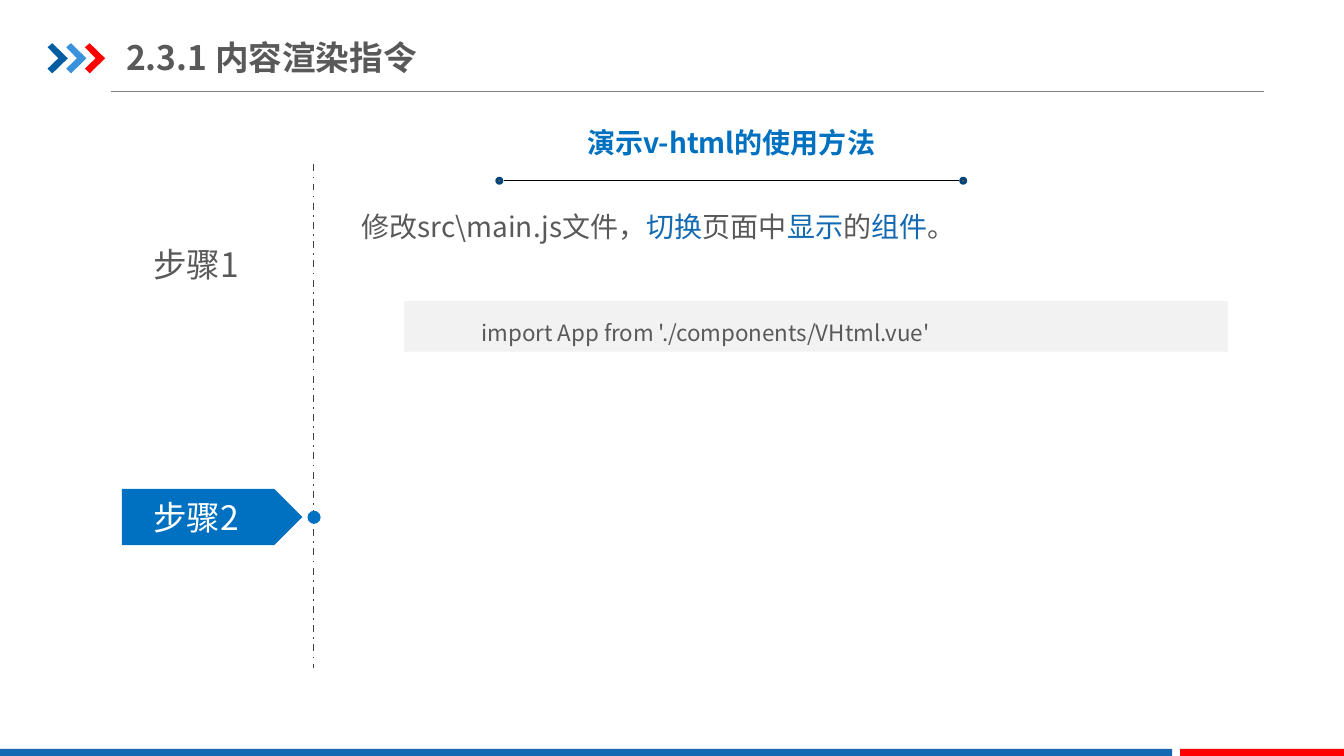
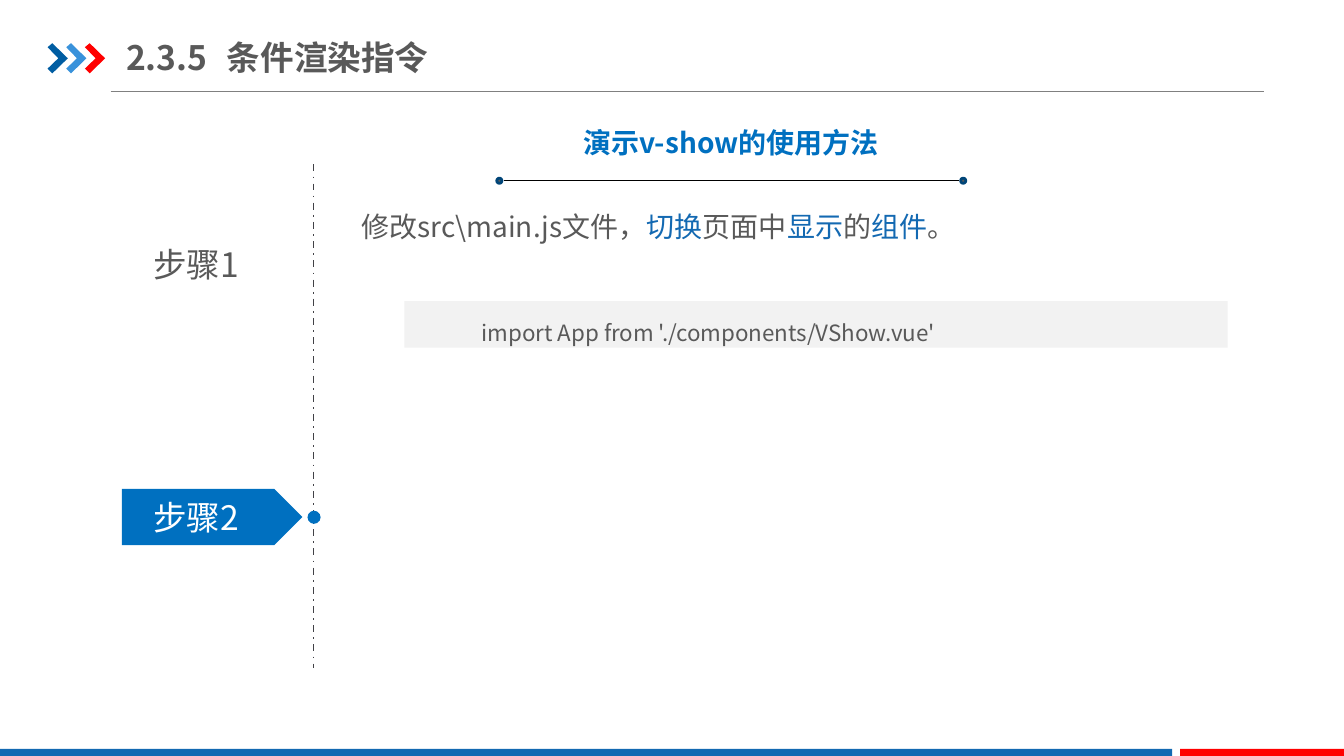
"""Build two step-by-step slides on Vue rendering directives."""
from lxml import etree
from pptx import Presentation
from pptx.dml.color import RGBColor
from pptx.enum import dml, shapes, text
from pptx.oxml.ns import qn
from pptx.util import Cm, Pt

FONT = "Noto Sans CJK SC"
COLOURS = {
    "navy": "005DA2", "sky": "3992DB", "red": "FF0000", "band": "1369B2",
    "accent": "0070C0", "grey": "595959", "rule": "808080", "dash": "414146",
    "pale": "F2F2F2", "ring": "004578", "black": "000000", "white": "FFFFFF",
}
RGB = {name: RGBColor.from_string(value) for name, value in COLOURS.items()}
PRESET = shapes.MSO_SHAPE
CHEVRON = [(0, 0.1), (0.12, 0), (0.51, 0.38), (0.12, 0.76), (0, 0.64), (0.27, 0.38)]
LINES = [
    (2.79, 2.31, 31.85, 2.31, "rule", 0.75, None),
    (7.9, 4.14, 7.9, 16.84, "dash", 1.25, dml.MSO_LINE.DASH_DOT),
    (12.7, 4.55, 24.18, 4.55, "black", 0.75, None),
]
BLOCKS = [
    (PRESET.RECTANGLE, 0, 18.87, 29.54, 0.18, "band", None),
    (PRESET.RECTANGLE, 29.74, 18.87, 4.13, 0.18, "red", None),
    (PRESET.OVAL, 7.75, 12.87, 0.33, 0.33, "accent", None),
    (PRESET.PENTAGON, 3.07, 12.32, 4.55, 1.42, "accent", None),
    (PRESET.OVAL, 12.52, 4.49, 0.13, 0.13, "grey", "ring"),
    (PRESET.OVAL, 24.21, 4.49, 0.13, 0.13, "grey", "ring"),
]
STEPS = [("步骤1", 6.02, "grey"), ("步骤2", 12.4, "white")]
INSTRUCTION = [
    ("修改src\\main.js文件，", "grey"), ("切换", "band"), ("页面中", "grey"),
    ("显示", "band"), ("的", "grey"), ("组件", "band"), ("。", "grey"),
]
PAGES = [
    ("2.3.1 内容渲染指令", "演示v-html的使用方法",
     "import App from './components/VHtml.vue'", 1.27),
    ("2.3.5\t条件渲染指令", "演示v-show的使用方法",
     "import App from './components/VShow.vue'", 1.17),
]


def paint(shape, fill, outline=None):
    """Give a shape a flat fill and an optional outline."""
    shape.shadow.inherit = False
    shape.fill.solid()
    shape.fill.fore_color.rgb = RGB[fill]
    if outline:
        shape.line.color.rgb = RGB[outline]
        shape.line.width = Pt(2)
    else:
        shape.line.fill.background()


def write(shape, runs, size=20, bold=False, align=text.PP_ALIGN.LEFT,
          spacing=None, indent=0, grow=True):
    """Fill a shape with one paragraph of (text, colour) runs."""
    frame = shape.text_frame
    frame.word_wrap = True
    frame.vertical_anchor = text.MSO_ANCHOR.TOP
    frame.auto_size = (text.MSO_AUTO_SIZE.SHAPE_TO_FIT_TEXT if grow
                       else text.MSO_AUTO_SIZE.NONE)
    paragraph = frame.paragraphs[0]
    paragraph.alignment = align
    paragraph.line_spacing = spacing
    if indent:
        properties = paragraph._p.get_or_add_pPr()
        properties.set("marL", str(Cm(indent)))
        properties.set("indent", "0")
    for words, colour in runs:
        run = paragraph.add_run()
        run.text = words
        run.font.size = Pt(size)
        run.font.bold = bold
        run.font.name = FONT
        run.font.color.rgb = RGB[colour]
        etree.SubElement(run._r.rPr, qn("a:ea")).set("typeface", FONT)


presentation = Presentation()
presentation.slide_width = Cm(33.87)
presentation.slide_height = Cm(19.05)

for title, heading, code, code_height in PAGES:
    slide = presentation.slides.add_slide(presentation.slide_layouts[6])
    canvas = slide.shapes

    for index, colour in enumerate(["navy", "sky", "red"]):
        points = [(Cm(1.2 + 0.47 * index + x), Cm(1.09 + y)) for x, y in CHEVRON]
        outline = canvas.build_freeform(*points[0])
        outline.add_line_segments(points[1:], close=True)
        paint(outline.convert_to_shape(), colour)

    for x1, y1, x2, y2, colour, width, dash in LINES:
        line = canvas.add_connector(shapes.MSO_CONNECTOR.STRAIGHT,
                                    Cm(x1), Cm(y1), Cm(x2), Cm(y2))
        line.line.color.rgb = RGB[colour]
        line.line.width = Pt(width)
        if dash:
            line.line.dash_style = dash
        etree.SubElement(line._element.spPr, qn("a:effectLst"))

    for preset, left, top, width, height, fill, ring in BLOCKS:
        block = canvas.add_shape(preset, Cm(left), Cm(top), Cm(width), Cm(height))
        paint(block, fill, ring)

    for label, top, colour in STEPS:
        step_box = canvas.add_textbox(Cm(2.87), Cm(top), Cm(4.14), Cm(1.27))
        write(step_box, [(label, colour)], size=24, align=text.PP_ALIGN.CENTER)

    instruction_box = canvas.add_textbox(Cm(8.86), Cm(4.72), Cm(23.47), Cm(1.4))
    write(instruction_box, INSTRUCTION, spacing=1.5)

    code_box = canvas.add_shape(PRESET.RECTANGLE, Cm(10.19), Cm(7.59),
                                Cm(20.75), Cm(code_height))
    paint(code_box, "pale")
    write(code_box, [(code, "grey")], size=16, spacing=1.5, indent=1.7)

    title_box = canvas.add_textbox(Cm(3.18), Cm(0.74), Cm(10.82), Cm(1.4))
    write(title_box, [(title, "grey")], size=24, bold=True, grow=False)
    title_frame = title_box.text_frame
    title_frame.vertical_anchor = text.MSO_ANCHOR.MIDDLE
    title_frame.margin_left = title_frame.margin_right = 0
    title_frame.margin_top = title_frame.margin_bottom = Cm(0.18)

    heading_box = canvas.add_textbox(Cm(12.52), Cm(3.05), Cm(11.81), Cm(1.12))
    write(heading_box, [(heading, "accent")], bold=True, align=text.PP_ALIGN.CENTER)

presentation.save("out.pptx")
